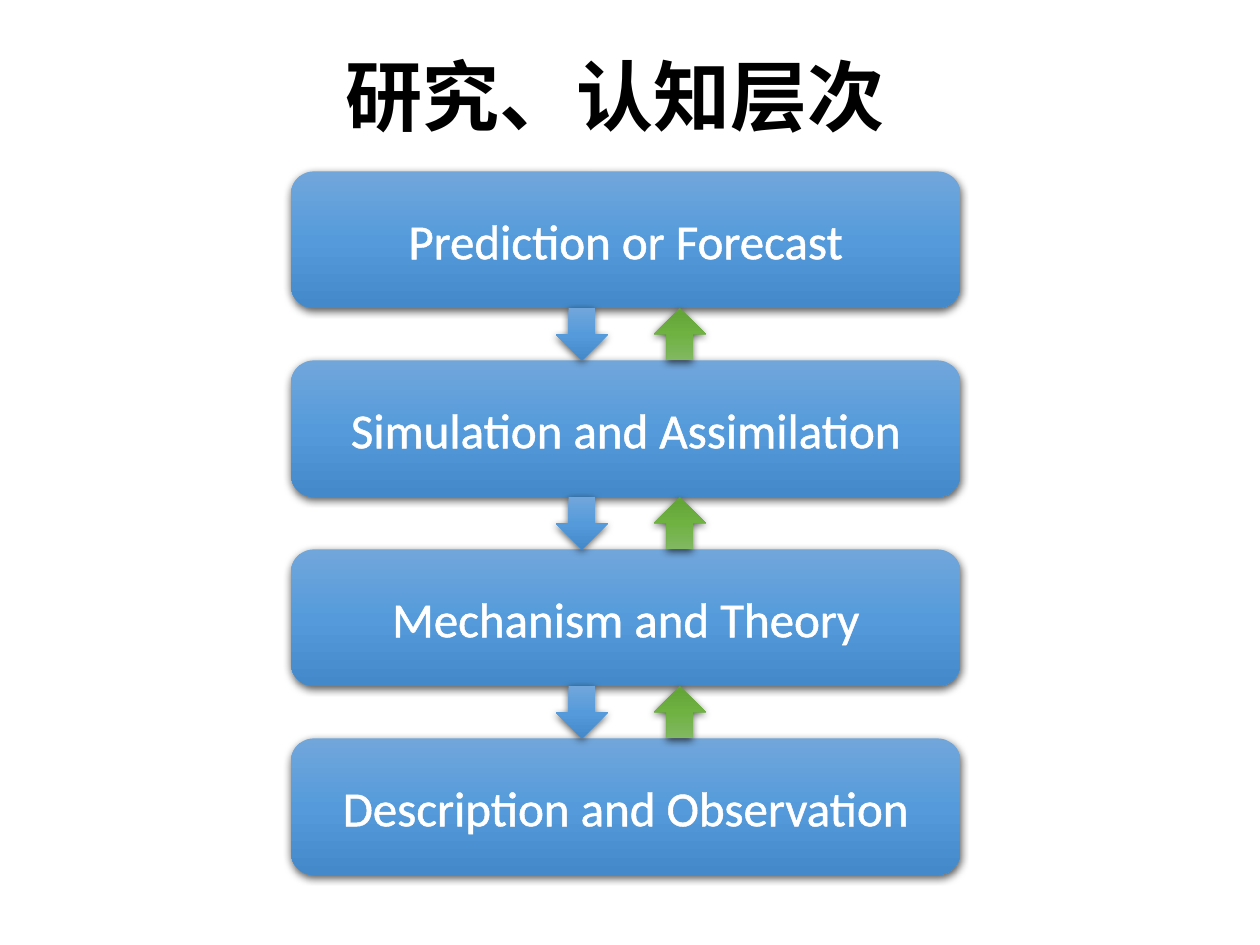
from copy import deepcopy

from lxml import etree
from pptx import Presentation
from pptx import util as u
from pptx.dml.color import RGBColor
from pptx.enum import shapes, text
from pptx.oxml import parse_xml
from pptx.oxml.ns import nsdecls, qn

COLORS = {
    "title": "000000",
    "label": "FFFFFF",
    "shadow": "000000",
    "blue": ("71A6DB", "559BDB", "448ACA"),
    "green_up": ("62A336", "6FB242", "81B861"),
}
LEVELS = ["Prediction or Forecast", "Simulation and Assimilation",
          "Mechanism and Theory", "Description and Observation"]
BOX_LEFT, BOX_TOP, BOX_WIDTH, BOX_HEIGHT = 166.3, 98, 382.5, 78
GAP = 30
DOWN_LEFT, UP_LEFT = 317.5, 373.5


class LevelSlide:
    title_font = {"name": "Arial", "size": u.Pt(44), "bold": True}
    label_font = {"name": "Calibri", "size": u.Pt(28), "bold": False}

    def __init__(self, prs):
        self.s = prs.slides.add_slide(prs.slide_layouts[6])

    def set_text(self, sp, words, font, color):
        tf = sp.text_frame
        tf.word_wrap = True
        tf.vertical_anchor = text.MSO_ANCHOR.MIDDLE
        p = tf.paragraphs[0]
        p.alignment = text.PP_ALIGN.CENTER
        r = p.add_run()
        r.text = words
        for name, value in font.items():
            setattr(r.font, name, value)
        r.font.color.rgb = RGBColor.from_string(COLORS[color])
        return r

    def title(self, words, *place):
        sp = self.s.shapes.add_textbox(*map(u.Pt, place))
        self.set_text(sp, words, self.title_font, "title")

    def shape(self, kind, colors, *place):
        """Add a borderless shape with a vertical three-stop gradient and a soft shadow."""
        sp = self.s.shapes.add_shape(kind, *map(u.Pt, place))
        sp.line.fill.background()
        sp.fill.gradient()
        sp.fill.gradient_angle = 270
        props = sp._element.spPr
        stops = props.find(qn("a:gradFill")).find(qn("a:gsLst"))
        stops.append(deepcopy(stops[-1]))
        for i, stop in enumerate(sp.fill.gradient_stops):
            stop.position = i / 2
            stop.color.rgb = RGBColor.from_string(COLORS[colors][i])
        sp.shadow.inherit = False
        props.find(qn("a:effectLst")).append(parse_xml(
            f'<a:outerShdw {nsdecls("a")} blurRad="{u.Pt(4.5)}" dist="{u.Pt(1.5)}" '
            f'dir="5400000" algn="ctr" rotWithShape="0">'
            f'<a:srgbClr val="{COLORS["shadow"]}"><a:alpha val="63000"/></a:srgbClr>'
            f'</a:outerShdw>'))
        return sp

    def box(self, words, top):
        sp = self.shape(shapes.MSO_SHAPE.ROUNDED_RECTANGLE, "blue",
                        BOX_LEFT, top, BOX_WIDTH, BOX_HEIGHT)
        r = self.set_text(sp, words, self.label_font, "label")
        outline = etree.Element(qn("a:ln"), w=str(u.Pt(1.45)))
        fill = etree.SubElement(outline, qn("a:solidFill"))
        etree.SubElement(fill, qn("a:srgbClr"), val=COLORS["label"])
        r._r.get_or_add_rPr().insert(0, outline)

    def arrows(self, top):
        self.shape(shapes.MSO_SHAPE.DOWN_ARROW, "blue", DOWN_LEFT, top, GAP, GAP)
        self.shape(shapes.MSO_SHAPE.UP_ARROW, "green_up", UP_LEFT, top, GAP, GAP)


def main():
    prs = Presentation()
    prs.slide_width, prs.slide_height = u.Pt(720), u.Pt(540)
    slide = LevelSlide(prs)
    slide.title("研究、认知层次", 27.4, 21.6, 648, 65.5)
    tops = [BOX_TOP + i * (BOX_HEIGHT + GAP) for i in range(len(LEVELS))]
    for words, top in zip(LEVELS, tops):
        slide.box(words, top)
    for top in tops[:-1]:
        slide.arrows(top + BOX_HEIGHT)
    prs.save("out.pptx")


if __name__ == "__main__":
    main()
